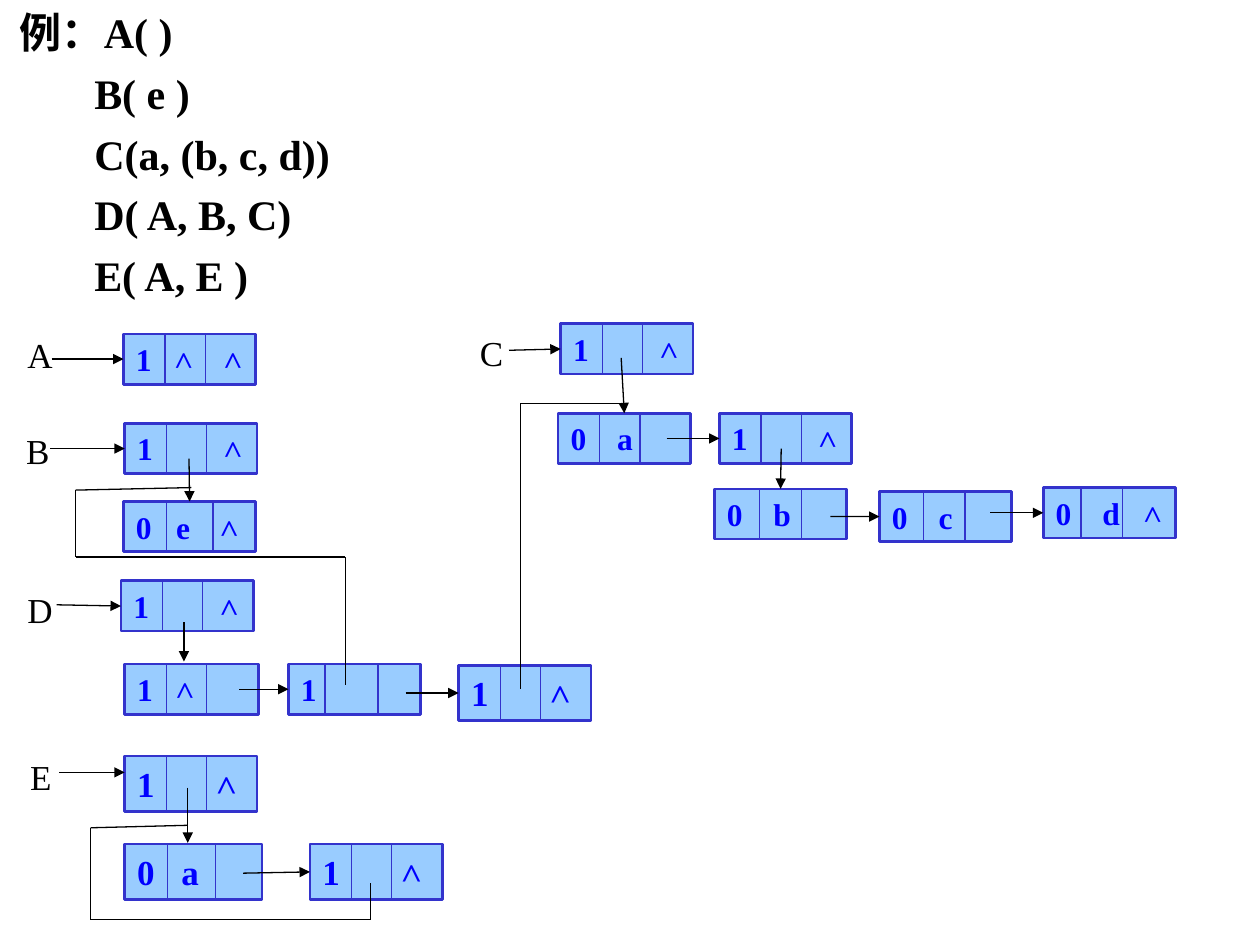
from dataclasses import dataclass
from itertools import pairwise
from typing import Optional

from lxml.etree import SubElement
from pptx import Presentation
from pptx.dml.color import RGBColor
from pptx.enum.shapes import MSO_CONNECTOR as Connector, MSO_SHAPE as Preset
from pptx.enum.text import MSO_ANCHOR as Anchor, PP_ALIGN as Align
from pptx.oxml.ns import qn
from pptx.shapes.autoshape import Shape
from pptx.shapes.connector import Connector as Line
from pptx.slide import Slide
from pptx.util import Inches, Pt

BLACK = RGBColor(0x00, 0x00, 0x00)
WHITE = RGBColor(0xFF, 0xFF, 0xFF)
CELL_FILL = RGBColor(0x99, 0xCC, 0xFF)
CELL_LINE = RGBColor(0x33, 0x33, 0xCC)
CELL_TEXT = RGBColor(0x00, 0x00, 0xFF)
FONT = "Times New Roman"
TOP, LEFT = 0, 1

Point = tuple[float, float]


@dataclass(frozen=True)
class Node:
    left: float
    top: float
    fields: str
    tabs: tuple[float, ...] = (0.69,)
    dividers: tuple[float, float] = (0.33, 0.65)
    width: float = 1.05
    height: float = 0.4
    size: int = 18


@dataclass(frozen=True)
class Pointer:
    start: Point
    target: str
    side: int = LEFT
    end: Optional[Point] = None


@dataclass(frozen=True)
class ListName:
    text: str
    left: float
    top: float


LARGE = {"height": 0.44, "size": 20}

NODES = {
    "A": Node(0.98, 2.65, "1\t˄\t˄", (0.31, 0.7)),
    "B": Node(0.99, 3.36, "1\t˄"),
    "B.e": Node(0.98, 3.98, "0\te\t˄", (0.32, 0.67), (0.34, 0.71)),
    "C": Node(4.45, 2.57, "1\t˄"),
    "C.a": Node(4.43, 3.28, "0\ta", (0.37,)),
    "C.sub": Node(5.71, 3.28, "1\t˄"),
    "C.b": Node(5.67, 3.88, "0\tb", (0.37,), (0.36, 0.69)),
    "C.c": Node(6.98, 3.9, "0\tc", (0.37,), (0.35, 0.68)),
    "C.d": Node(8.28, 3.87, "0\td\t˄", (0.37, 0.7), (0.3, 0.63)),
    "D": Node(0.96, 4.61, "1\t˄"),
    "D.A": Node(0.99, 5.27, "1\t˄", (0.31,), width=1.06),
    "D.B": Node(2.29, 5.27, "1", (), (0.29, 0.71)),
    "D.C": Node(3.64, 5.28, "1\t˄", (0.63,), **LARGE),
    "E": Node(0.99, 6, "1\t˄", (0.63,), **LARGE),
    "E.a": Node(0.99, 6.7, "0\ta", (0.35,), (0.34, 0.72), 1.09, **LARGE),
    "E.E": Node(2.46, 6.7, "1\t˄", (0.63,), **LARGE),
}

POINTERS = (
    Pointer((0.41, 2.85), "A"),
    Pointer((0.4, 3.56), "B"),
    Pointer((1.5, 3.64), "B.e", TOP),
    Pointer((4.04, 2.78), "C"),
    Pointer((4.93, 2.84), "C.a", TOP),
    Pointer((5.29, 3.48), "C.sub"),
    Pointer((6.2, 3.56), "C.b", TOP),
    Pointer((6.59, 4.1), "C.c"),
    Pointer((7.86, 4.07), "C.d"),
    Pointer((0.45, 4.8), "D"),
    Pointer((1.46, 4.94), "D.A", TOP, (1.46, 5.25)),
    Pointer((1.9, 5.47), "D.B"),
    Pointer((3.22, 5.5), "D.C"),
    Pointer((0.47, 6.13), "E", LEFT, (0.99, 6.13)),
    Pointer((1.49, 6.25), "E.a", TOP, (1.49, 6.69)),
    Pointer((1.93, 6.93), "E.E"),
)

SHARED_LINKS = (
    ((1.52, 3.87), (0.6, 3.89), (0.6, 4.42), (2.74, 4.42), (2.74, 5.44)),
    ((4.93, 3.2), (4.13, 3.2), (4.13, 5.47)),
    ((1.49, 6.55), (0.72, 6.57), (0.72, 7.3), (2.94, 7.3), (2.94, 7.01)),
)

LIST_NAMES = (
    ListName("A", 0.12, 2.6),
    ListName("B", 0.11, 3.36),
    ListName("C", 3.71, 2.58),
    ListName("D", 0.12, 4.62),
    ListName("E", 0.14, 5.95),
)

DEFINITIONS = ("例：A( )", "B( e )", "C(a, (b, c, d))", "D( A, B, C)", "E( A, E )")


def set_font(paragraph, size: int, color: RGBColor, bold: bool = False) -> None:
    paragraph.alignment = Align.LEFT
    font = paragraph.font
    font.name, font.size, font.bold = FONT, Pt(size), bold
    font.color.rgb = color


def draw_line(slide: Slide, start: Point, end: Point, color: RGBColor = BLACK) -> Line:
    line = slide.shapes.add_connector(
        Connector.STRAIGHT, *map(Inches, start), *map(Inches, end)
    )
    line.line.color.rgb = color
    line.line.width = Pt(0.75)
    SubElement(line._element.spPr, qn("a:effectLst"))
    return line


def draw_node(slide: Slide, node: Node) -> Shape:
    box = slide.shapes.add_shape(
        Preset.RECTANGLE,
        *map(Inches, (node.left, node.top, node.width, node.height)),
    )
    box.shadow.inherit = False
    box.fill.solid()
    box.fill.fore_color.rgb = CELL_FILL
    box.line.color.rgb = CELL_LINE
    box.line.width = Pt(1.5)
    frame = box.text_frame
    frame.word_wrap = True
    frame.vertical_anchor = Anchor.TOP
    frame.margin_right = 0
    paragraph = frame.paragraphs[0]
    paragraph.text = node.fields
    set_font(paragraph, node.size, CELL_TEXT, True)
    if node.tabs:
        stops = paragraph._p.get_or_add_pPr()
        tab_list = stops.makeelement(qn("a:tabLst"))
        stops.insert(0, tab_list)
        for position in node.tabs:
            SubElement(tab_list, qn("a:tab"), pos=str(Inches(position)), algn="l")
    for offset in node.dividers:
        x = node.left + offset
        draw_line(slide, (x, node.top), (x, node.top + node.height), CELL_LINE)
    return box


def draw_pointer(slide: Slide, pointer: Pointer, boxes: dict[str, Shape]) -> None:
    arrow = draw_line(slide, pointer.start, pointer.end or pointer.start)
    if pointer.end is None:
        arrow.end_connect(boxes[pointer.target], pointer.side)
    SubElement(arrow.line._get_or_add_ln(), qn("a:tailEnd"), type="triangle")


def draw_list_name(slide: Slide, name: ListName) -> None:
    box = slide.shapes.add_textbox(*map(Inches, (name.left, name.top, 0.4, 0.44)))
    box.text_frame.word_wrap = True
    paragraph = box.text_frame.paragraphs[0]
    paragraph.text = name.text
    set_font(paragraph, 20, BLACK)


def draw_definitions(slide: Slide) -> None:
    box = slide.shapes.add_textbox(*map(Inches, (0.06, 0, 2.93, 2.44)))
    box.fill.solid()
    box.fill.fore_color.rgb = WHITE
    frame = box.text_frame
    frame.word_wrap = True
    for index, definition in enumerate(DEFINITIONS):
        paragraph = frame.add_paragraph() if index else frame.paragraphs[0]
        paragraph.text = definition
        paragraph.space_before = Pt(6)
        set_font(paragraph, 24, BLACK, True)
        if index:
            properties = paragraph._p.get_or_add_pPr()
            properties.set("marL", "0")
            properties.set("indent", str(Inches(0.59)))


def main() -> None:
    presentation = Presentation()
    presentation.slide_width, presentation.slide_height = Inches(10), Inches(7.5)
    slide = presentation.slides.add_slide(presentation.slide_layouts[6])
    boxes = {key: draw_node(slide, node) for key, node in NODES.items()}
    for name in LIST_NAMES:
        draw_list_name(slide, name)
    for pointer in POINTERS:
        draw_pointer(slide, pointer, boxes)
    for corners in SHARED_LINKS:
        for start, end in pairwise(corners):
            draw_line(slide, start, end)
    draw_definitions(slide)
    presentation.save("out.pptx")


if __name__ == "__main__":
    main()
